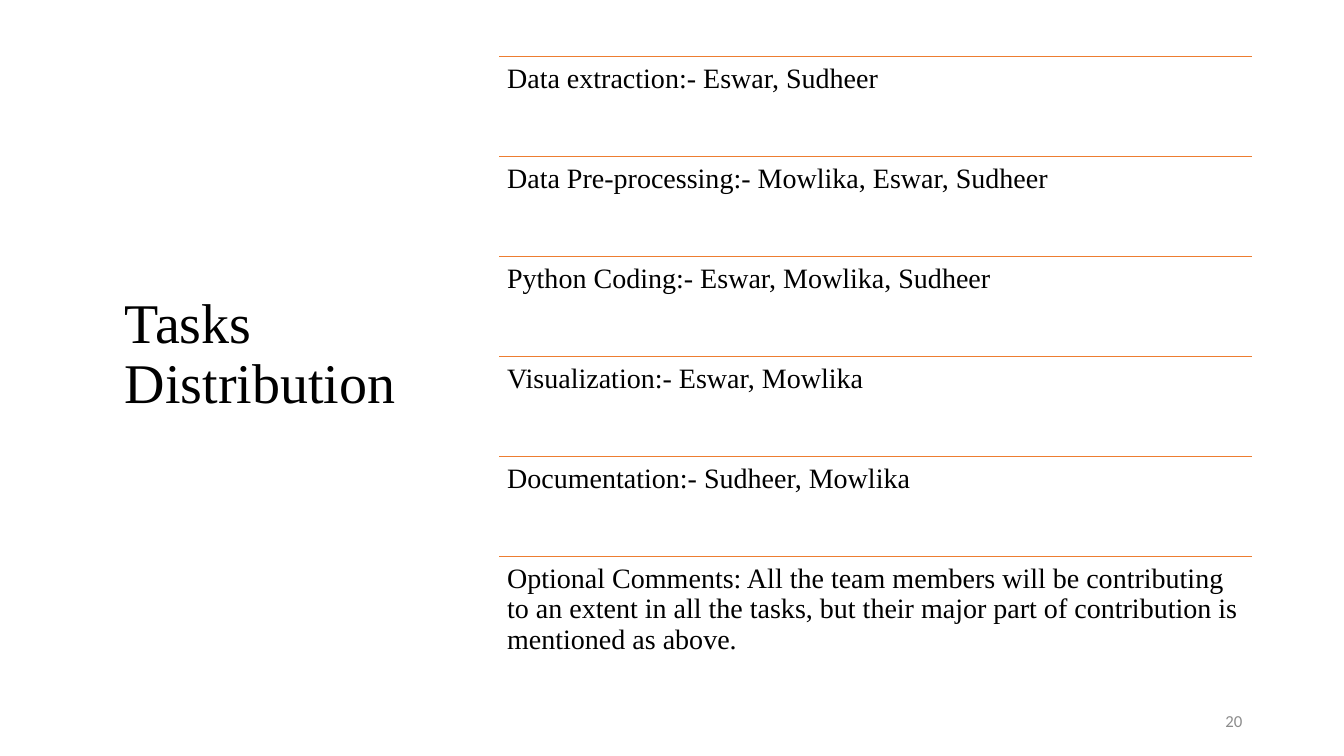
"""Build the Tasks Distribution slide: a title beside a ruled list of tasks."""
from dataclasses import dataclass

import pptx
import pptx.dml.color
import pptx.enum.shapes
import pptx.enum.text
import pptx.oxml.ns
import pptx.slide
import pptx.util
from lxml import etree

Inches = pptx.util.Inches
Pt = pptx.util.Pt
RGBColor = pptx.dml.color.RGBColor
Align = pptx.enum.text.PP_ALIGN
Anchor = pptx.enum.text.MSO_ANCHOR

BLACK = RGBColor(0x00, 0x00, 0x00)
GRAY = RGBColor(0x8C, 0x8C, 0x8C)
ORANGE = RGBColor(0xED, 0x7D, 0x31)
SERIF = "Times New Roman"

LIST_LEFT, LIST_TOP, LIST_WIDTH, LIST_HEIGHT = 4.95, 0.56, 7.47, 5.95


@dataclass(frozen=True)
class Box:
    left: float
    top: float
    width: float
    height: float


@dataclass(frozen=True)
class Task:
    label: str
    detail: str

    def text(self) -> str:
        return f"{self.label} {self.detail}"


TASKS = [
    Task("Data extraction:-", "Eswar, Sudheer"),
    Task("Data Pre-processing:-", "Mowlika, Eswar, Sudheer"),
    Task("Python Coding:-", "Eswar, Mowlika, Sudheer"),
    Task("Visualization:-", "Eswar, Mowlika"),
    Task("Documentation:-", "Sudheer, Mowlika"),
    Task("Optional Comments:", "All the team members will be contributing to an extent in all "
         "the tasks, but their major part of contribution is mentioned as above."),
]


def add_text(s: pptx.slide.Slide, box: Box, text: str, *, size: float, font: str = SERIF,
             color: RGBColor = BLACK, align: Align = Align.LEFT, anchor: Anchor = Anchor.TOP,
             spacing: float = 0.9, inset_x: float = 0.1, inset_y: float = 0.05) -> None:
    sp = s.shapes.add_textbox(Inches(box.left), Inches(box.top),
                              Inches(box.width), Inches(box.height))
    tf = sp.text_frame
    tf.word_wrap = True
    tf.vertical_anchor = anchor
    tf.margin_left = tf.margin_right = Inches(inset_x)
    tf.margin_top = tf.margin_bottom = Inches(inset_y)
    p = tf.paragraphs[0]
    p.alignment = align
    p.line_spacing = spacing
    r = p.add_run()
    r.text = text
    r.font.name = font
    r.font.size = Pt(size)
    r.font.color.rgb = color


def add_rule(s: pptx.slide.Slide, left: float, top: float, width: float) -> None:
    line = s.shapes.add_connector(pptx.enum.shapes.MSO_CONNECTOR.STRAIGHT, Inches(left),
                                  Inches(top), Inches(left + width), Inches(top))
    line.line.color.rgb = ORANGE
    line.line.width = Pt(1)
    etree.SubElement(line._element.spPr, pptx.oxml.ns.qn("a:effectLst"))


def add_task(s: pptx.slide.Slide, task: Task, box: Box) -> None:
    add_rule(s, box.left, box.top, box.width)
    add_text(s, box, task.text(), size=20, inset_x=0.08, inset_y=0.08)


def main() -> None:
    prs = pptx.Presentation()
    prs.slide_width, prs.slide_height = Inches(13.33), Inches(7.5)
    s = prs.slides.add_slide(prs.slide_layouts[6])
    add_text(s, Box(1.14, 0.55, 3.27, 5.95), "Tasks Distribution", size=40, anchor=Anchor.MIDDLE)
    row = LIST_HEIGHT / len(TASKS)
    for i, task in enumerate(TASKS):
        add_task(s, task, Box(LIST_LEFT, LIST_TOP + i * row, LIST_WIDTH, row))
    add_text(s, Box(9.42, 6.95, 3, 0.4), "20", size=12, font="Calibri", color=GRAY,
             align=Align.RIGHT, anchor=Anchor.MIDDLE, spacing=1.0)
    prs.save("out.pptx")


if __name__ == "__main__":
    main()
